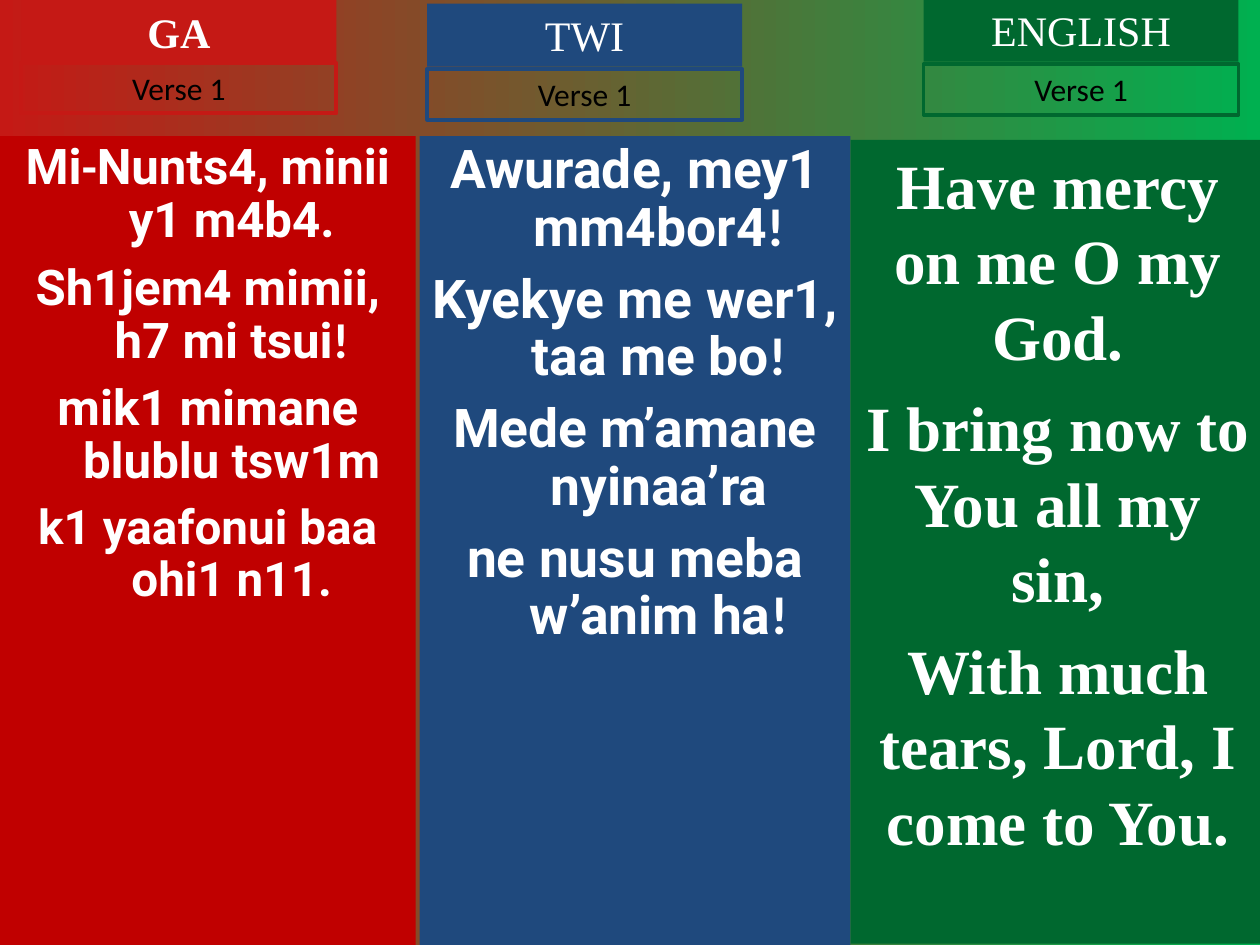
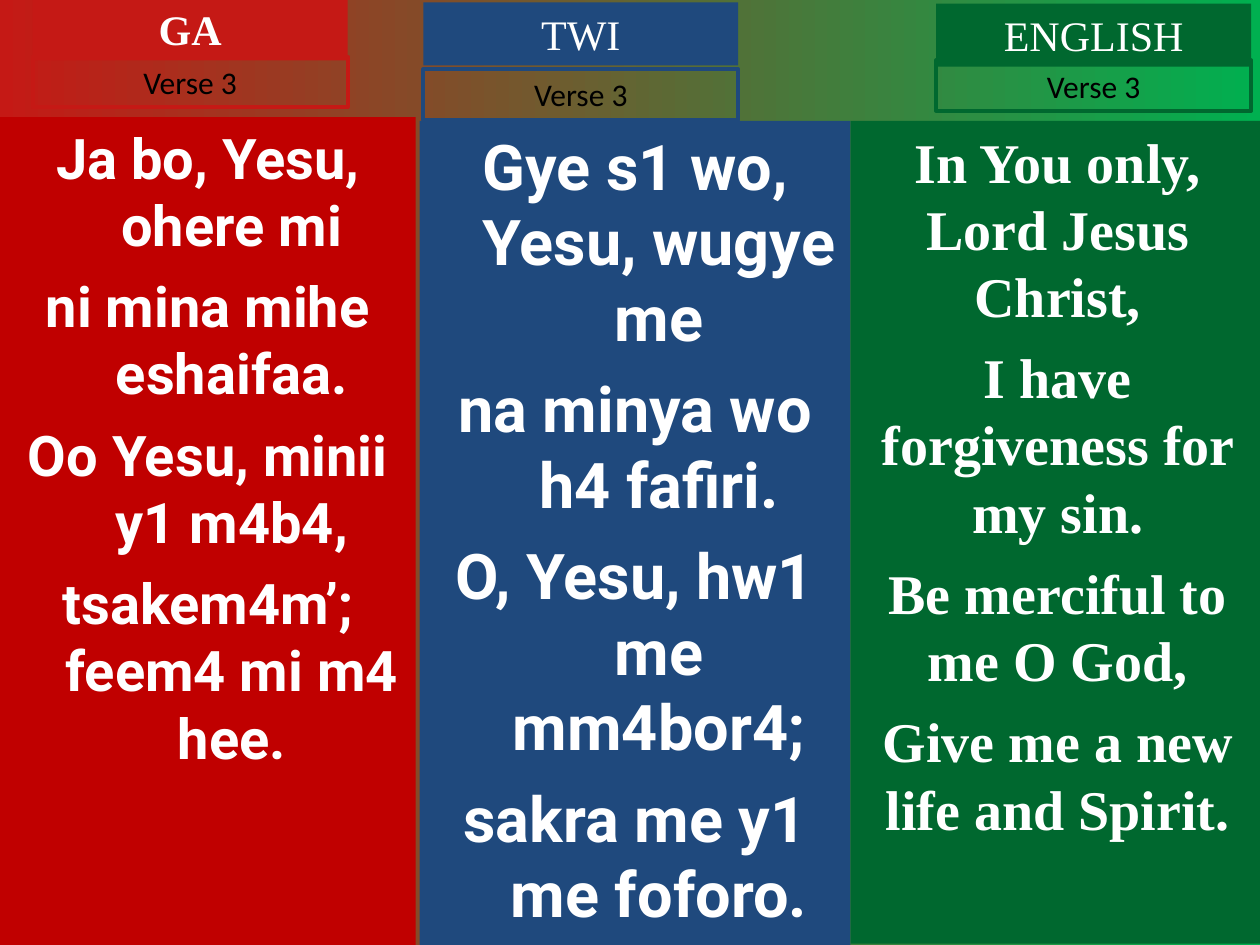
from dataclasses import dataclass
from itertools import groupby

from pptx import Presentation
from pptx.dml.color import RGBColor
from pptx.enum.shapes import MSO_SHAPE as Shape
from pptx.enum.text import MSO_ANCHOR as Anchor, MSO_AUTO_SIZE as AutoSize, PP_ALIGN as Align
from pptx.util import Pt


@dataclass(frozen=True)
class Theme:
    red: str = "C51915"
    deep_red: str = "C00000"
    blue: str = "1F497D"
    green: str = "00682F"
    bright_green: str = "00B050"
    white: str = "FFFFFF"
    black: str = "000000"
    serif: str = "Times New Roman"
    lyric: str = "Roboto"
    plain: str = "Calibri"
    language_size: float = 24
    verse_size: float = 18
    hanging: float = 27.36
    border: float = 2.25


THEME = Theme()


@dataclass(frozen=True)
class Language:
    name: str
    accent: str
    panel: str
    left: float
    width: float
    font: str
    bold_name: bool = False
    hanging: float = 0


LANGUAGES = (
    Language("GA", THEME.red, THEME.deep_red, 0, 237.6, THEME.lyric, True, THEME.hanging),
    Language("TWI", THEME.blue, THEME.blue, 239.76, 246.24, THEME.lyric, False, THEME.hanging),
    Language("ENGLISH", THEME.green, THEME.green, 486, 236.88, THEME.serif),
)


@dataclass(frozen=True)
class Stanza:
    label_left: float
    name_top: float
    verse_top: float
    panel_top: float
    panel_bottom: float
    size: float
    lines: tuple
    spacing: float = 1
    last_size: float = 0


def write(frame, lines, *, size, font, color, bold=False, hanging=0,
          spacing=1, gap=0, last_size=0):
    """Fill a frame with centred lines; hyphens and exclamation marks in lyrics are plain."""
    for number, line in enumerate(lines):
        paragraph = frame.paragraphs[0] if number == 0 else frame.add_paragraph()
        paragraph.alignment = Align.CENTER
        paragraph.line_spacing = spacing
        paragraph.space_before = Pt(gap if number else 0)
        if hanging:
            properties = paragraph._p.get_or_add_pPr()
            properties.set("marL", str(Pt(hanging)))
            properties.set("indent", str(-Pt(hanging)))
        is_last = number == len(lines) - 1
        for is_mark, letters in groupby(line, lambda letter: letter in "-!"):
            run = paragraph.add_run()
            run.text = "".join(letters)
            run.font.name = THEME.plain if is_mark else font
            run.font.size = Pt(last_size if is_last and last_size else size)
            run.font.bold = bold
            run.font.color.rgb = RGBColor.from_string(color)


class HymnDeck:
    def __init__(self, theme):
        self.theme = theme
        self.deck = Presentation()
        self.deck.slide_width, self.deck.slide_height = Pt(720), Pt(540)
        self.slide = None

    def new_slide(self):
        self.slide = self.deck.slides.add_slide(self.deck.slide_layouts[6])
        fill = self.slide.background.fill
        fill.gradient()
        fill.gradient_angle = 0
        ends = (self.theme.red, self.theme.bright_green)
        for stop, color, position in zip(fill.gradient_stops, ends, (0, 1)):
            stop.color.rgb = RGBColor.from_string(color)
            stop.position = position

    def box(self, left, top, width, height, *, fill=None, line=None, anchor=Anchor.TOP, grow=False):
        box = self.slide.shapes.add_shape(Shape.RECTANGLE, Pt(left), Pt(top), Pt(width), Pt(height))
        box.shadow.inherit = False
        if fill:
            box.fill.solid()
            box.fill.fore_color.rgb = RGBColor.from_string(fill)
        else:
            box.fill.background()
        if line:
            box.line.color.rgb = RGBColor.from_string(line)
            box.line.width = Pt(self.theme.border)
        else:
            box.line.fill.background()
        frame = box.text_frame
        frame.word_wrap = True
        frame.vertical_anchor = anchor
        frame.auto_size = AutoSize.SHAPE_TO_FIT_TEXT if grow else AutoSize.NONE
        return frame

    def lyrics(self, language, stanza):
        panel = self.box(language.left, stanza.panel_top, language.width,
                         stanza.panel_bottom - stanza.panel_top, fill=language.panel)
        write(panel, stanza.lines, size=stanza.size, font=language.font, color=self.theme.white,
              bold=True, hanging=language.hanging, spacing=stanza.spacing,
              gap=8.2 if stanza.spacing < 1 else stanza.size / 4, last_size=stanza.last_size)

    def language_name(self, language, stanza):
        label = self.box(stanza.label_left, stanza.name_top, 180, 36, fill=language.accent, grow=True)
        write(label, [language.name], size=self.theme.language_size, font=self.theme.serif,
              color=self.theme.white, bold=language.bold_name)

    def verse_label(self, language, stanza, verse):
        label = self.box(stanza.label_left, stanza.verse_top, 180, 28.8, line=language.accent, grow=True)
        write(label, [verse], size=self.theme.verse_size, font=self.theme.plain, color=self.theme.black)

    def verse_slide(self, verse, stanzas):
        self.new_slide()
        for language, stanza in zip(LANGUAGES, stanzas):
            self.lyrics(language, stanza)
            self.language_name(language, stanza)
            self.verse_label(language, stanza, verse)


VERSES = {
    "Verse 1": (
        Stanza(12.24, 0, 36, 77.76, 540, 28.1, (
            "Mi-Nunts4, minii y1 m4b4.",
            "Sh1jem4 mimii, h7 mi tsui!",
            "mik1 mimane blublu tsw1m",
            "k1 yaafonui baa ohi1 n11.",
        ), spacing=0.9, last_size=27.2),
        Stanza(244.08, 2.16, 39.6, 77.76, 540, 30.5, (
            "Awurade, mey1 mm4bor4!",
            "Kyekye me wer1, taa me bo!",
            "Mede m’amane nyinaa’ra",
            "ne nusu meba w’anim ha!",
        ), spacing=0.9),
        Stanza(527.76, -0.72, 36.72, 79.92, 539.28, 36, (
            "Have mercy on me O my God.",
            "I bring now to You all my sin,",
            "With much tears, Lord, I come to You.",
        )),
    ),
    "Verse 3": (
        Stanza(18.72, -1.44, 32.4, 66.96, 540, 32, (
            "Ja bo, Yesu, ohere mi",
            "ni mina mihe eshaifaa.",
            "Oo Yesu, minii y1 m4b4,",
            "tsakem4m’; feem4 mi m4 hee.",
        )),
        Stanza(241.92, 1.44, 39.6, 69.12, 540, 36, (
            "Gye s1 wo, Yesu, wugye me",
            "na minya wo h4 fafiri.",
            "O, Yesu, hw1 me mm4bor4;",
            "sakra me y1 me foforo.",
        )),
        Stanza(534.96, 2.16, 34.56, 69.12, 539.28, 32, (
            "In You only, Lord Jesus Christ,",
            "I have forgiveness for my sin.",
            "Be merciful to me O God,",
            "Give me a new life and Spirit.",
        )),
    ),
}


def main():
    hymn = HymnDeck(THEME)
    for verse, stanzas in VERSES.items():
        hymn.verse_slide(verse, stanzas)
    hymn.deck.save("out.pptx")


if __name__ == "__main__":
    main()
